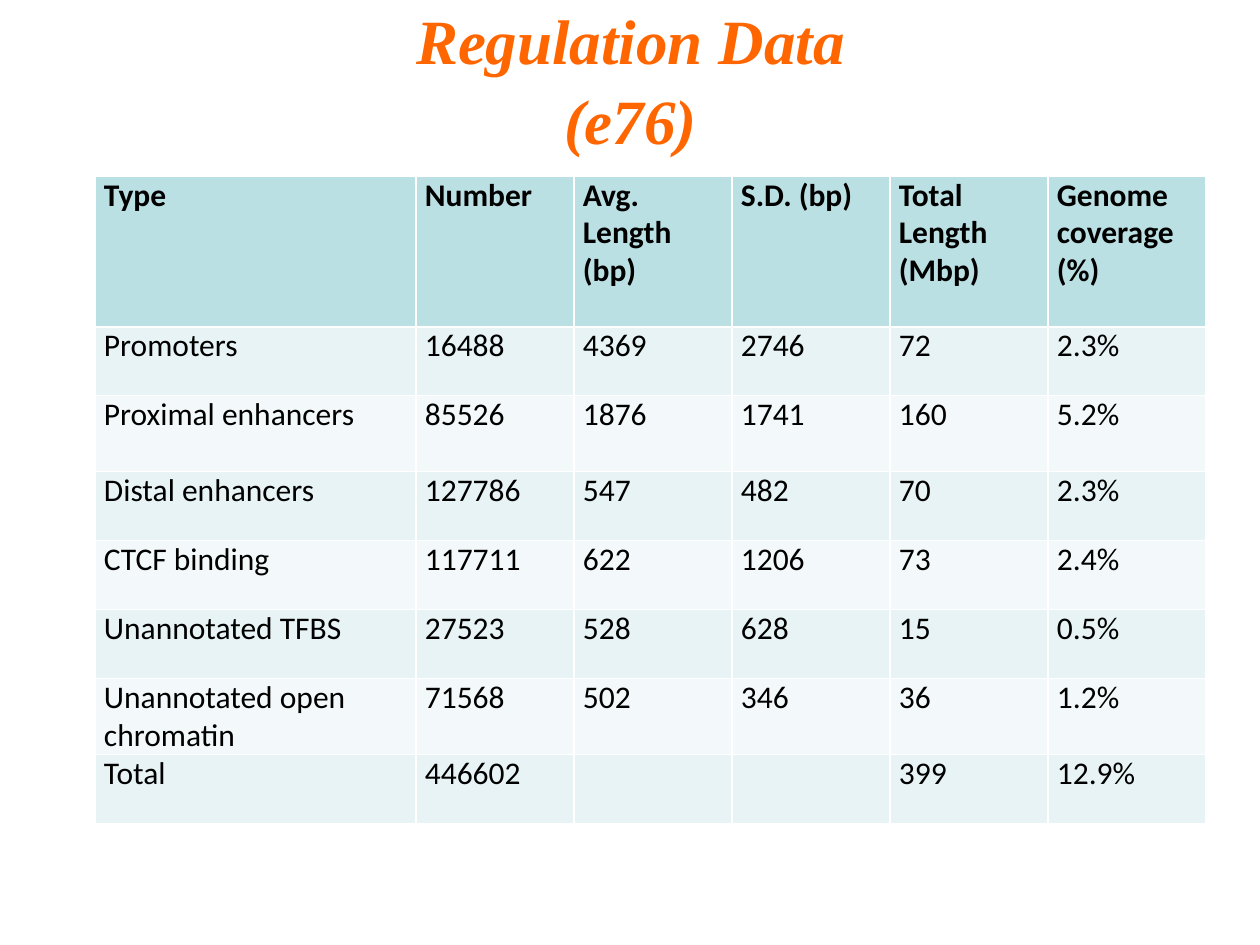
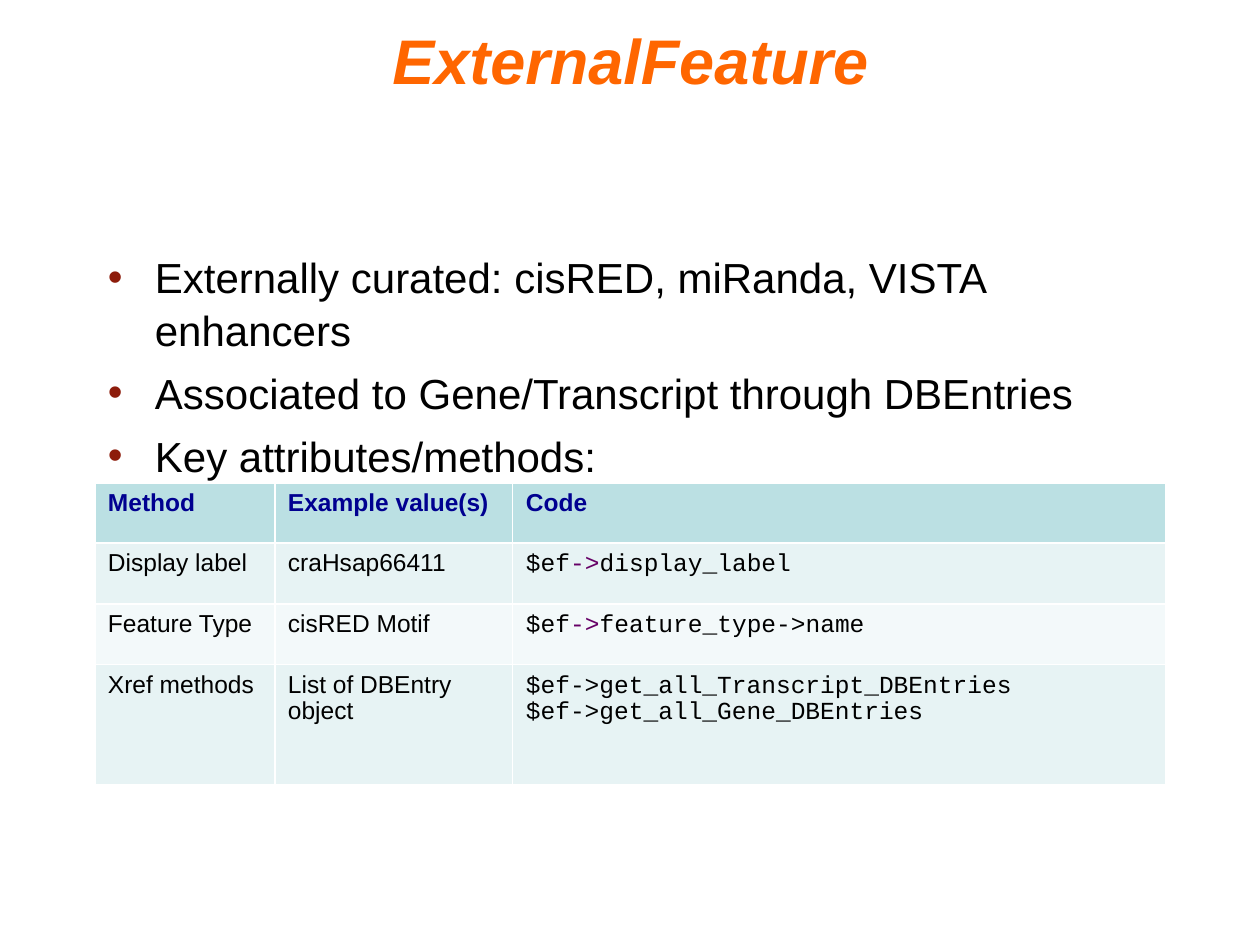
from dataclasses import dataclass, replace

from lxml import etree
from pptx import Presentation
from pptx import util as u
from pptx.dml.color import RGBColor
from pptx.enum import text
from pptx.oxml import ns

SCALE = 914400 / 126  # EMU in one px


def px(length):
    return u.Emu(round(length * SCALE))


@dataclass(frozen=True)
class Style:
    font: str
    size: int
    color: str
    bold: bool = False
    italic: bool = False
    spacing: float = 1.0


@dataclass(frozen=True)
class Theme:
    header_fill: str = "BBE0E3"
    band_fills: tuple = ("E7F3F4", "F3F9FA")
    border: str = "FFFFFF"
    thin: float = 0.75
    thick: float = 1.47
    bullet: str = "8D1C0B"
    title: Style = Style("Arial", 36, "FF6600", True, True, 1.05)
    body: Style = Style("Arial", 24, "000000", spacing=1.04)
    data: Style = Style("Calibri", 18, "000000", spacing=0.98)
    data_header: Style = Style("Calibri", 18, "000000", True, spacing=0.98)
    method: Style = Style("Arial", 14, "000000", spacing=0.94)
    method_header: Style = Style("Arial", 14, "000090", True, spacing=0.94)
    code: Style = Style("Courier New", 14, "000000", spacing=0.96)
    arrow: Style = Style("Courier New", 14, "660066", spacing=0.96)


THEME = Theme()
LEFT = 95

REGULATION_ROWS = [
    ["Type", "Number", "Avg. Length (bp)", "S.D. (bp)",
     "Total Length (Mbp)", "Genome coverage (%)"],
    ["Promoters", "16488", "4369", "2746", "72", "2.3%"],
    ["Proximal enhancers", "85526", "1876", "1741", "160", "5.2%"],
    ["Distal enhancers", "127786", "547", "482", "70", "2.3%"],
    ["CTCF binding", "117711", "622", "1206", "73", "2.4%"],
    ["Unannotated TFBS", "27523", "528", "628", "15", "0.5%"],
    ["Unannotated open chromatin", "71568", "502", "346", "36", "1.2%"],
    ["Total", "446602", "", "", "399", "12.9%"],
]


def accessor(name):
    """Code paragraph whose first arrow is highlighted."""
    return [[("$ef", THEME.code), ("->", THEME.arrow), (name, THEME.code)]]


METHOD_ROWS = [
    ["Method", "Example value(s)", "Code"],
    ["Display label", "craHsap66411", accessor("display_label")],
    ["Feature Type", "cisRED Motif", accessor("feature_type->name")],
    ["Xref methods", "List of DBEntry object",
     [[(f"$ef->get_all_{kind}_DBEntries", THEME.code)]
      for kind in ("Transcript", "Gene")]],
]

BULLETS = [
    "Externally curated: cisRED, miRanda, VISTA enhancers",
    "Associated to Gene/Transcript through DBEntries",
    "Key attributes/methods:",
]


def add_run(paragraph, words, style):
    run = paragraph.add_run()
    run.text = words
    font = run.font
    font.name, font.size = style.font, u.Pt(style.size)
    font.bold, font.italic = style.bold, style.italic
    font.color.rgb = RGBColor.from_string(style.color)


def set_frame(frame, top_inset):
    frame.word_wrap = True
    frame.auto_size = text.MSO_AUTO_SIZE.NONE
    frame.vertical_anchor = text.MSO_ANCHOR.TOP
    frame.margin_left = frame.margin_right = px(13)
    frame.margin_top, frame.margin_bottom = px(top_inset), px(6)


def add_titled_slide(presentation, lines, top, style):
    slide = presentation.slides.add_slide(presentation.slide_layouts[5])
    title = slide.shapes.title
    title.left, title.top, title.width, title.height = map(px, (LEFT, top, 1071, 126))
    set_frame(title.text_frame, 12)
    paragraph = title.text_frame.paragraphs[0]
    paragraph.alignment = text.PP_ALIGN.CENTER
    paragraph.line_spacing = style.spacing
    for index, line in enumerate(lines):
        if index:
            paragraph.add_line_break()
        add_run(paragraph, line, style)
    return slide


def add_bullets(slide, items, top, height):
    box = slide.shapes.add_textbox(*map(px, (LEFT, top, 1071, height)))
    frame = box.text_frame
    set_frame(frame, 9)
    for index, item in enumerate(items):
        paragraph = frame.add_paragraph() if index else frame.paragraphs[0]
        properties = paragraph._p.get_or_add_pPr()
        properties.set("marL", str(px(47)))
        properties.set("indent", str(-px(47)))
        color = etree.SubElement(properties, ns.qn("a:buClr"))
        etree.SubElement(color, ns.qn("a:srgbClr"), val=THEME.bullet)
        etree.SubElement(properties, ns.qn("a:buFont"), typeface="Arial")
        etree.SubElement(properties, ns.qn("a:buChar"), char="•")
        paragraph.line_spacing = THEME.body.spacing
        if index:
            paragraph.space_before = u.Pt(6)
        add_run(paragraph, item, THEME.body)


def set_borders(cell, row_index):
    """White edges, with a thicker rule between header and first row."""
    properties = cell._tc.get_or_add_tcPr()
    for side in "LRTB":
        thick = (row_index, side) in ((0, "B"), (1, "T"))
        width = u.Pt(THEME.thick if thick else THEME.thin)
        line = etree.SubElement(properties, ns.qn(f"a:ln{side}"), w=str(width))
        fill = etree.SubElement(line, ns.qn("a:solidFill"))
        etree.SubElement(fill, ns.qn("a:srgbClr"), val=THEME.border)


def fill_cell(cell, content, style):
    """Write a cell from a plain string or from paragraphs of (words, style)."""
    paragraphs = [[(content, style)]] if isinstance(content, str) else content
    for index, runs in enumerate(paragraphs):
        frame = cell.text_frame
        paragraph = frame.add_paragraph() if index else frame.paragraphs[0]
        paragraph.line_spacing = runs[0][1].spacing
        for words, run_style in runs:
            if words:
                add_run(paragraph, words, run_style)


def add_grid(slide, rows, top, widths, heights, insets, header_style, style):
    shape = slide.shapes.add_table(
        len(rows), len(widths), px(LEFT), px(top), px(sum(widths)), px(sum(heights)))
    table = shape.table
    for column, width in zip(table.columns, widths):
        column.width = px(width)
    for row_index, (row, height) in enumerate(zip(rows, heights)):
        table.rows[row_index].height = px(height)
        band = THEME.band_fills[(row_index - 1) % 2]
        for column_index, content in enumerate(row):
            cell = table.cell(row_index, column_index)
            side, cell.margin_top, cell.margin_bottom = map(px, insets)
            cell.margin_left = cell.margin_right = side
            set_borders(cell, row_index)
            cell.fill.solid()
            cell.fill.fore_color.rgb = RGBColor.from_string(
                band if row_index else THEME.header_fill)
            fill_cell(cell, content, style if row_index else header_style)


def main():
    presentation = Presentation()
    presentation.slide_width, presentation.slide_height = px(1260), px(945)

    serif_title = replace(THEME.title, font="Times New Roman")
    regulation = add_titled_slide(
        presentation, ["Regulation Data", "(e76)"], -14, serif_title)
    add_grid(regulation, REGULATION_ROWS, 176, [321] + [158] * 5,
             [151, 69, 76, 69, 69, 69, 76, 69], (9, 0, 0),
             THEME.data_header, THEME.data)

    feature = add_titled_slide(presentation, ["ExternalFeature"], 6, THEME.title)
    add_bullets(feature, BULLETS, 241, 598)
    add_grid(feature, METHOD_ROWS, 483, [180, 238, 653], [60, 61, 61, 120],
             (13, 8, 6), THEME.method_header, THEME.method)

    presentation.save("out.pptx")


if __name__ == "__main__":
    main()
